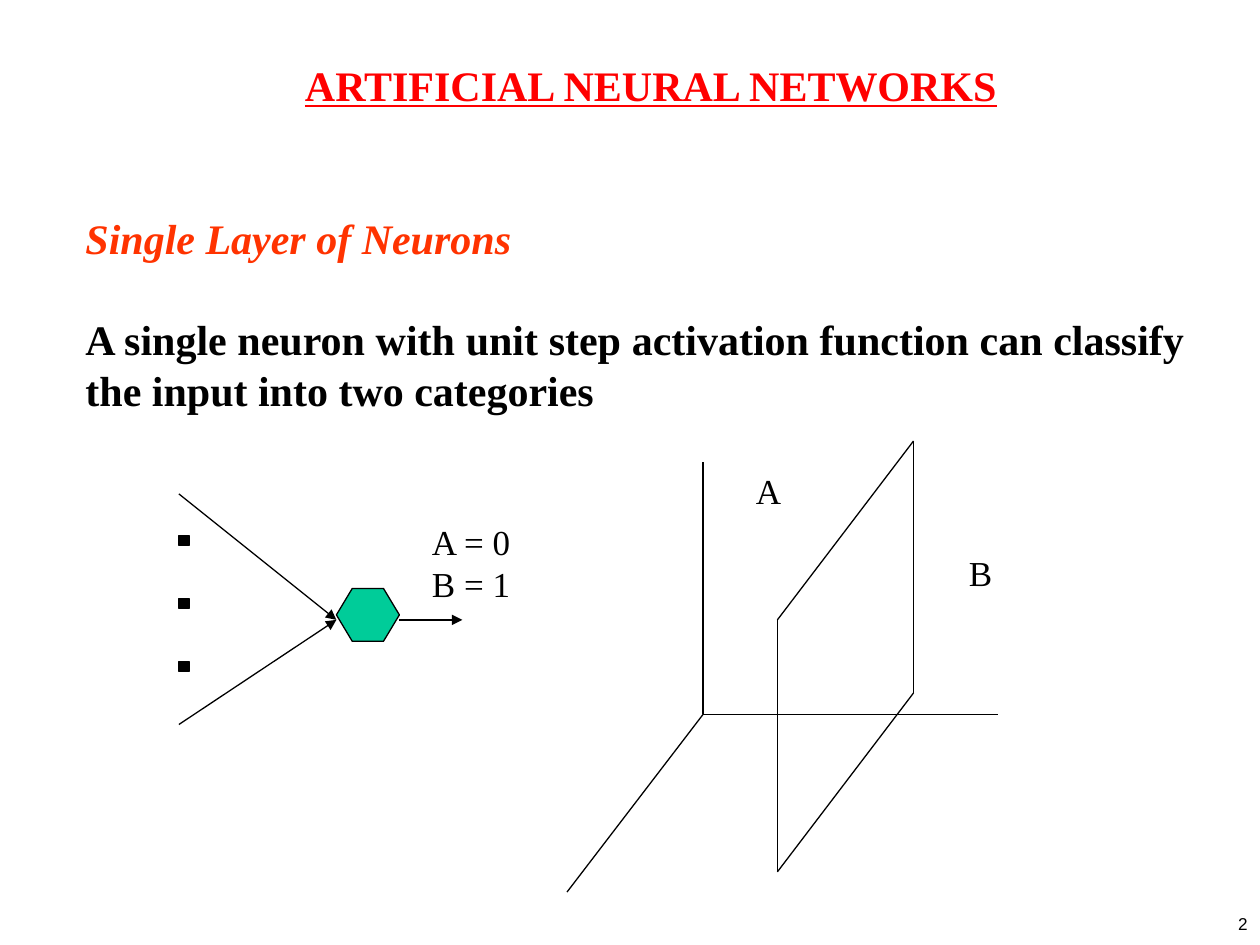
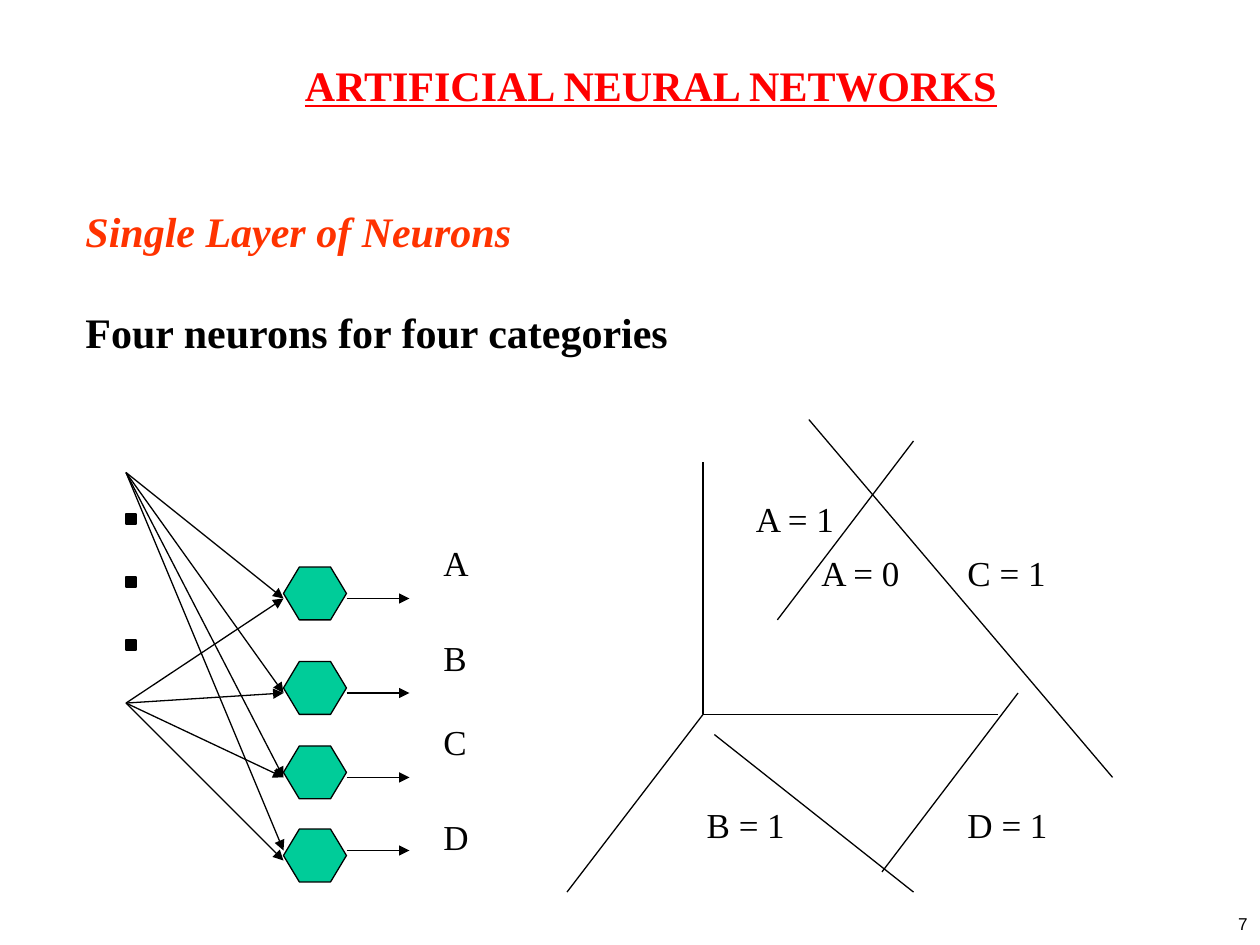
from lxml import etree
from pptx import Presentation
from pptx import util as u
from pptx.dml.color import RGBColor
from pptx.enum import shapes, text
from pptx.oxml import ns

Inches, Pt = u.Inches, u.Pt
RED = RGBColor(0xFF, 0x00, 0x00)
ORANGE = RGBColor(0xFF, 0x33, 0x00)
GREEN = RGBColor(0x00, 0xCC, 0x99)
BLACK = RGBColor(0x00, 0x00, 0x00)
SERIF = "Times New Roman"
LEFT, CENTER, RIGHT = text.PP_ALIGN.LEFT, text.PP_ALIGN.CENTER, text.PP_ALIGN.RIGHT
JUSTIFY = text.PP_ALIGN.JUSTIFY


def draw_line(slide, start, end, arrow=False):
    line = slide.shapes.add_connector(
        shapes.MSO_CONNECTOR.STRAIGHT, *[Inches(v) for v in (*start, *end)])
    line.line.color.rgb = BLACK
    line.line.width = Pt(0.75)
    if arrow:
        etree.SubElement(line.line._get_or_add_ln(), ns.qn("a:tailEnd"), type="triangle")
    etree.SubElement(line._element.spPr, ns.qn("a:effectLst"))


def write(slide, box, words, size=20, font=SERIF, color=BLACK, bold=False, align=LEFT):
    frame = slide.shapes.add_textbox(*[Inches(v) for v in box]).text_frame
    frame.word_wrap = True
    frame.text = words
    for paragraph in frame.paragraphs:
        paragraph.alignment = align
        for run in paragraph.runs:
            run.font.name = font
            run.font.size = Pt(size)
            run.font.bold = bold
            run.font.color.rgb = color
    return frame


prs = Presentation()
prs.slide_width, prs.slide_height = Inches(10), Inches(7.5)

ORIGIN = (5.58, 5.67)
AXIS_ENDS = [(5.58, 3.67), (7.92, 5.67), (4.5, 7.08)]
LABEL_WIDTH = 0.95

lessons = [
    {"number": "2", "top": 1.64, "height": 1.7,
     "statement": "A single neuron with unit step activation function can classify "
                  "the input into two categories",
     "inputs": (1.42, 3.92, 5.75),
     "neurons": [(4.67, 4.92, 4.92, 4.92)],
     "boundaries": [((7.25, 3.5), (6.17, 4.92)), ((7.25, 5.5), (6.17, 6.92)),
                    ((6.17, 4.92), (6.17, 6.92)), ((7.25, 3.5), (7.25, 5.5))],
     "labels": [("A", 5.9, 3.68), ("B", 7.59, 4.33), ("A = 0\nB = 1", 3.33, 4.08)]},
    {"number": "7", "top": 1.58, "height": 1.3,
     "statement": "Four neurons for four categories",
     "inputs": (1, 3.75, 5.58),
     "neurons": [(4.5, 4.75, 4.75, 4.75), (5.25, 5.5, 5.5, 5.5),
                 (5.92, 6.17, 6.17, 6.17), (6.58, 6.75, 6.83, 6.75)],
     "boundaries": [((7.25, 3.5), (6.17, 4.92)), ((8.08, 5.5), (7, 6.92)),
                    ((6.42, 3.33), (8.83, 6.17)), ((5.67, 5.83), (7.25, 7.08))],
     "labels": [("A = 1", 5.9, 3.9), ("A = 0", 6.42, 4.33), ("C = 1", 7.58, 4.33),
                ("B = 1", 5.51, 6.33), ("D = 1", 7.58, 6.33), ("A", 3.42, 4.25),
                ("B", 3.42, 5), ("C", 3.42, 5.67), ("D", 3.42, 6.42)]},
]

for lesson in lessons:
    slide = prs.slides.add_slide(prs.slide_layouts[6])

    page = write(slide, (9.46, 7.23, 0.54, 0.27), lesson["number"], 9.8, "Arial",
                 align=RIGHT)
    page.paragraphs[0].line_spacing = 0.8

    body = write(slide, (0.58, lesson["top"], 8.92, lesson["height"]),
                 "Single Layer of Neurons\n" + lesson["statement"], 24,
                 bold=True, align=JUSTIFY)
    heading, statement = body.paragraphs
    heading.runs[0].font.italic = True
    heading.runs[0].font.color.rgb = ORANGE
    statement.space_before = Pt(28.8)

    input_x, first_y, last_y = lesson["inputs"]
    hexagon_x = input_x + 1.25
    output_x = hexagon_x + 0.5
    parts = [(shapes.MSO_SHAPE.RECTANGLE, BLACK,
              (input_x, first_y + 0.33 + 0.5 * i, 0.08, 0.08)) for i in range(3)]
    parts += [(shapes.MSO_SHAPE.HEXAGON, GREEN, (hexagon_x, neuron[0], 0.5, 0.42))
              for neuron in lesson["neurons"]]
    for kind, color, box in parts:
        part = slide.shapes.add_shape(kind, *[Inches(v) for v in box])
        part.shadow.inherit = False
        part.fill.solid()
        part.fill.fore_color.rgb = color
        part.line.color.rgb = BLACK
        part.line.width = Pt(0.75)
        if kind == shapes.MSO_SHAPE.HEXAGON:
            part.adjustments[0] = 0.3

    for top, from_first, from_last, output_y in lesson["neurons"]:
        draw_line(slide, (input_x, first_y), (hexagon_x, from_first), arrow=True)
        draw_line(slide, (input_x, last_y), (hexagon_x, from_last), arrow=True)
        draw_line(slide, (output_x, output_y), (output_x + 0.5, output_y), arrow=True)

    for axis_end in AXIS_ENDS:
        draw_line(slide, ORIGIN, axis_end)
    for start, end in lesson["boundaries"]:
        draw_line(slide, start, end)

    for words, left, top in lesson["labels"]:
        write(slide, (left, top, LABEL_WIDTH, 0.77 if "\n" in words else 0.44), words)

    title = write(slide, (1.25, 0.42, 7.83, 0.5), "ARTIFICIAL NEURAL NETWORKS", 24,
                  color=RED, bold=True, align=CENTER)
    title.paragraphs[0].runs[0].font.underline = True

prs.save("out.pptx")
